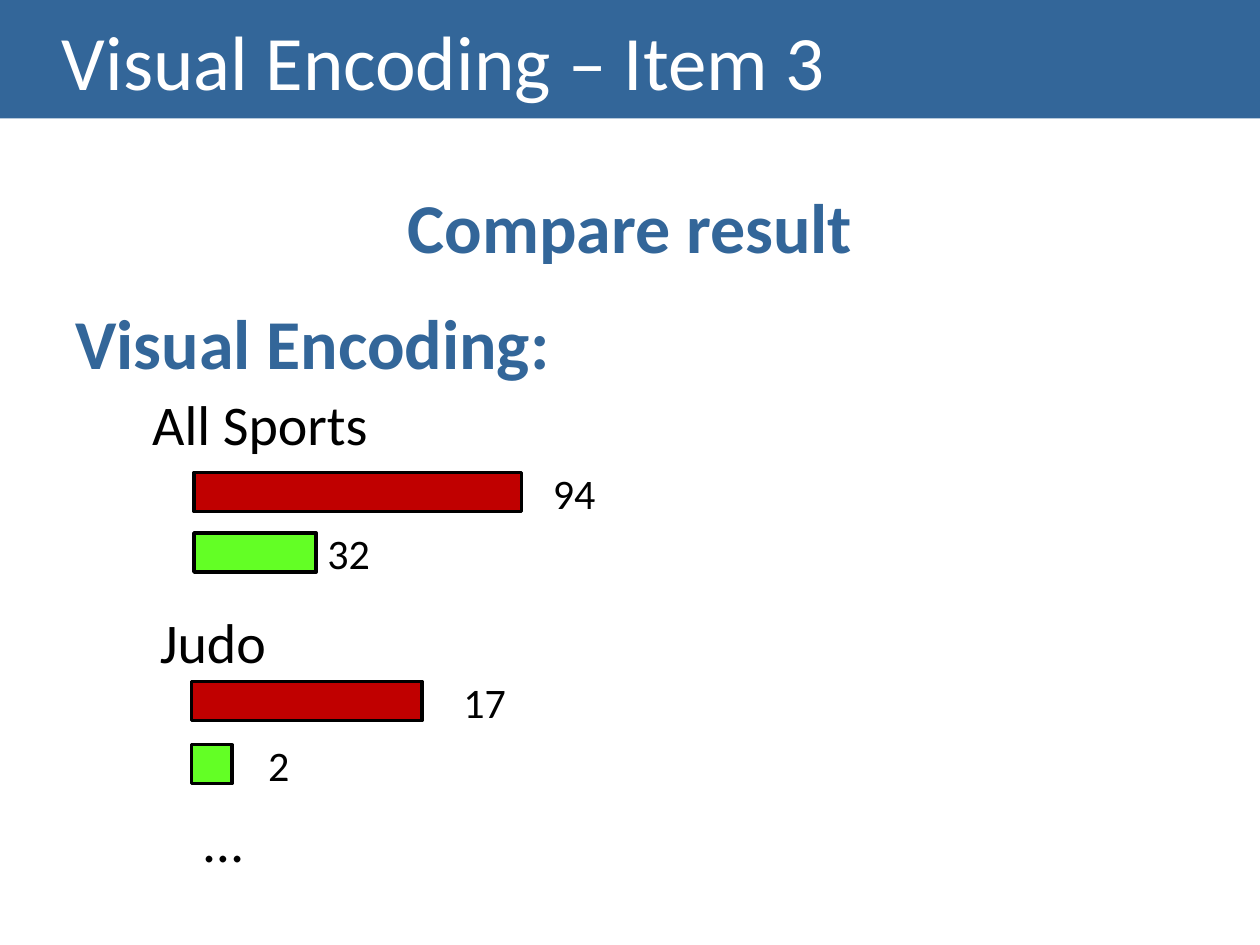
from pptx import Presentation
from pptx.dml.color import RGBColor
from pptx.enum import shapes, text
from pptx.util import Inches, Pt

COLORS = {
    "blue": "336699",
    "white": "FFFFFF",
    "black": "000000",
    "red": "C00000",
    "green": "63FF25",
}
FONT = "Calibri"
BAR_HEIGHT = 0.31


def color(name):
    return RGBColor.from_string(COLORS[name])


def set_font(paragraph, size, color_name, bold=False):
    font = paragraph.font
    font.name, font.size, font.bold = FONT, Pt(size), bold
    font.color.rgb = color(color_name)


def add_title(slide, left, top, width, height):
    title = slide.shapes.title
    title.left, title.top = Inches(left), Inches(top)
    title.width, title.height = Inches(width), Inches(height)
    title.fill.solid()
    title.fill.fore_color.rgb = color("blue")
    frame = title.text_frame
    frame.text = "Visual Encoding – Item 3"
    frame.auto_size = text.MSO_AUTO_SIZE.NONE
    frame.vertical_anchor = text.MSO_ANCHOR.MIDDLE
    frame.margin_left = Inches(0.49)
    paragraph = frame.paragraphs[0]
    paragraph.alignment = text.PP_ALIGN.LEFT
    set_font(paragraph, 44, "white")


def add_headings(slide, left, top, width, height):
    box = slide.shapes.add_textbox(Inches(left), Inches(top), Inches(width), Inches(height))
    frame = box.text_frame
    frame.word_wrap = True
    frame.text = "Compare result\nVisual Encoding:"
    alignments = (text.PP_ALIGN.CENTER, text.PP_ALIGN.LEFT)
    for paragraph, alignment in zip(frame.paragraphs, alignments):
        paragraph.alignment = alignment
        paragraph.space_before = Pt(18)
        set_font(paragraph, 40, "blue", bold=True)


def add_label(slide, left, top, width, height, wording, size):
    box = slide.shapes.add_textbox(Inches(left), Inches(top), Inches(width), Inches(height))
    frame = box.text_frame
    frame.word_wrap = False
    frame.auto_size = text.MSO_AUTO_SIZE.SHAPE_TO_FIT_TEXT
    frame.text = wording
    set_font(frame.paragraphs[0], size, "black")


def add_bar(slide, left, top, width, color_name):
    bar = slide.shapes.add_shape(
        shapes.MSO_SHAPE.RECTANGLE,
        Inches(left), Inches(top), Inches(width), Inches(BAR_HEIGHT))
    bar.shadow.inherit = False
    bar.fill.solid()
    bar.fill.fore_color.rgb = color(color_name)
    bar.line.color.rgb = color("black")
    bar.line.width = Pt(2)


def add_bar_group(slide, left, bars):
    """Each bar: top, width, colour, value, left and width of the value label."""
    for top, width, color_name, value, label_left, label_width in bars:
        add_bar(slide, left, top, width, color_name)
        add_label(slide, label_left, top - 0.09, label_width, 0.5, value, 24)


def main():
    presentation = Presentation()
    presentation.slide_width, presentation.slide_height = Inches(10), Inches(7.5)
    slide = presentation.slides.add_slide(presentation.slide_layouts[5])

    # Title band and headings
    add_title(slide, 0, 0, 10, 0.94)
    add_headings(slide, 0.5, 1.41, 9, 1.8)

    # All sports
    add_label(slide, 1.11, 3.04, 1.93, 0.64, "All Sports", 32)
    add_bar_group(slide, 1.54, [
        (3.75, 2.6, "red", "94", 4.29, 0.54),
        (4.23, 0.97, "green", "32", 2.5, 0.54),
    ])

    # Judo
    add_label(slide, 1.17, 4.77, 1.06, 0.64, "Judo", 32)
    add_bar_group(slide, 1.52, [
        (5.41, 1.83, "red", "17", 3.58, 0.54),
        (5.91, 0.32, "green", "2", 2.03, 0.37),
    ])

    # Further sports
    add_label(slide, 1.52, 6.35, 0.51, 0.64, "…", 32)

    presentation.save("out.pptx")


if __name__ == "__main__":
    main()
